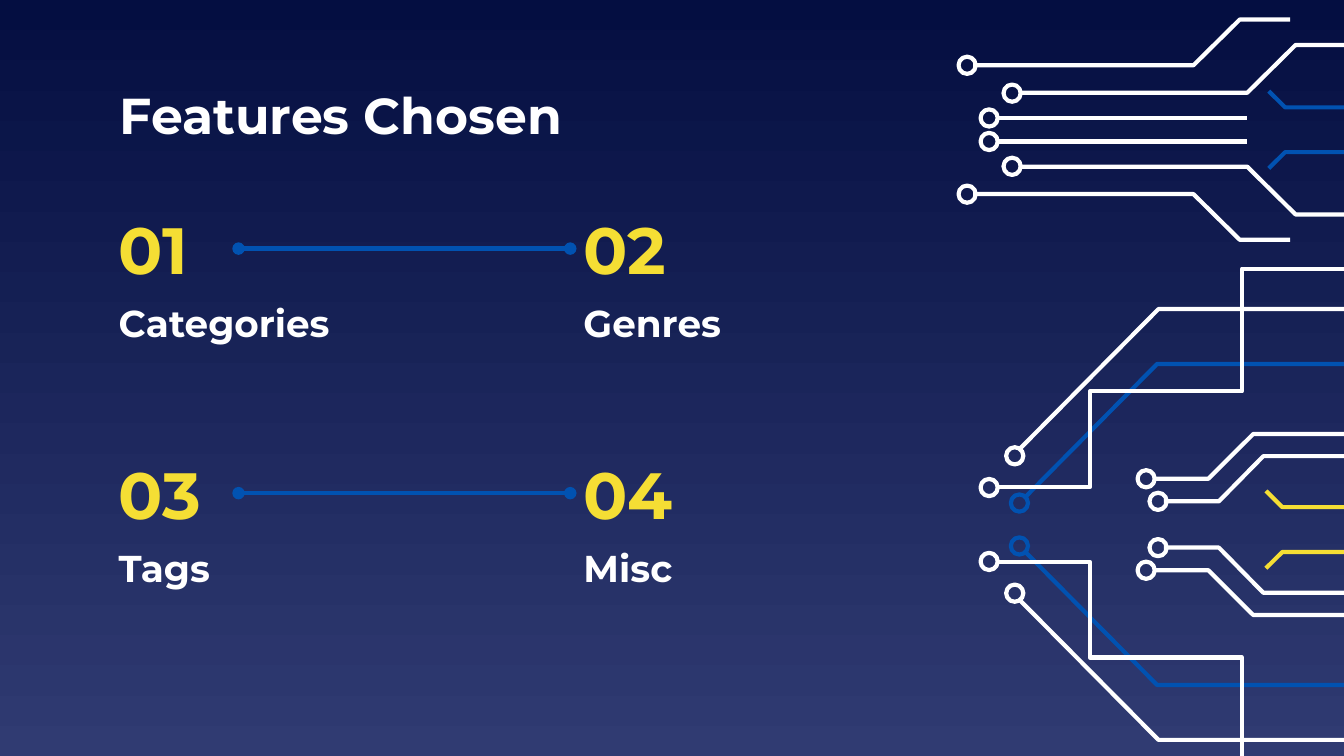
from lxml.etree import SubElement
from pptx import Presentation
from pptx.dml.color import RGBColor
from pptx.enum.shapes import MSO_CONNECTOR as CONNECTOR, MSO_SHAPE as SHAPE
from pptx.enum.text import MSO_ANCHOR as ANCHOR, MSO_AUTO_SIZE as AUTO_SIZE, PP_ALIGN as ALIGN
from pptx.oxml.ns import qn
from pptx.util import Pt

COLORS = {"top": "040E41", "bottom": "303B72", "white": "FFFFFF",
          "blue": "0152B1", "yellow": "F5DE34"}
FONT = "Montserrat"
STROKE = 2.25
PAD = 9.2
FEATURES = ["Categories", "Genres", "Tags", "Misc"]
COLUMNS = 2
NUMBER_SIZE = (71.3, 41.8)
LABEL_SIZE = (173.5, 37.4)

UPPER_TRACES = [
    ("white", (4.6, 34.5), [(7.8, 34.5), (125.9, 34.5), (150.7, 59), (177.7, 59)]),
    ("white", (28.7, 19.6), [(32.3, 19.8), (154.7, 19.8), (180.6, 45.4), (224.5, 45.4)]),
    ("white", (16.4, 6.3), [(20, 6.3), (154.7, 6.3)]),
]
LOWER_TRACES = [
    ("white", (94.8, 12.4), [(97.9, 12.4), (127.4, 12.4), (151.2, 36.6), (208.8, 36.6)]),
    ("white", (88.4, 24.5), [(92.2, 24.5), (121.7, 24.5), (145.8, 48.5), (208.8, 48.5)]),
    ("blue", (20.5, 11.5), [(23, 14), (94.3, 86), (208.8, 86)]),
    ("white", (4.3, 19.8), [(7.9, 20), (58.3, 20), (58.3, 71.3), (139.7, 71.3),
                            (139.7, 137), (208.8, 137)]),
    ("white", (18, 36.8), [(20.2, 40), (95, 115.4), (208.8, 115.4)]),
]
BRACKET = [(0, 20.7), (8.8, 12), (49.7, 12)]


def rgb(name):
    """Return the palette colour called name."""
    return RGBColor.from_string(COLORS[name])


def outline(shape, color):
    """Give a shape an unfilled coloured outline without shadow."""
    shape.shadow.inherit = False
    shape.fill.background()
    shape.line.color.rgb = rgb(color)
    shape.line.width = Pt(STROKE)


def write(shape, box, text, size, color):
    """Place a text shape in box and set one bold, left-aligned line in it."""
    shape.left, shape.top, shape.width, shape.height = map(Pt, box)
    frame = shape.text_frame
    frame.auto_size = AUTO_SIZE.NONE
    frame.word_wrap = True
    frame.vertical_anchor = ANCHOR.MIDDLE
    frame.margin_left = frame.margin_right = Pt(7.2)
    frame.margin_top = frame.margin_bottom = Pt(7.2)
    frame.text = text
    line = frame.paragraphs[0]
    line.alignment = ALIGN.LEFT
    line.font.name, line.font.size, line.font.bold = FONT, Pt(size), True
    line.font.color.rgb = rgb(color)


def add_circuit(slide, box, traces):
    """Draw traces and their round pads, mirrored about the middle of box."""
    left, top, _, height = box
    axis = top + height / 2
    for color, pad, route in traces:
        for side in (-1, 1):
            points = [(Pt(left + x), Pt(axis + side * y)) for x, y in route]
            builder = slide.shapes.build_freeform(*points[0])
            builder.add_line_segments(points[1:], close=False)
            outline(builder.convert_to_shape(), color)
            if pad:
                corner = (left + pad[0] - PAD / 2, axis + side * pad[1] - PAD / 2)
                ring = slide.shapes.add_shape(
                    SHAPE.OVAL, *map(Pt, (*corner, PAD, PAD)))
                outline(ring, color)


def add_link(slide, start, end, y):
    """Join two features with a line that has a dot at each end."""
    link = slide.shapes.add_connector(
        CONNECTOR.STRAIGHT, Pt(start), Pt(y), Pt(end), Pt(y))
    link.line.color.rgb = rgb("blue")
    link.line.width = Pt(STROKE)
    for end_tag in ("a:headEnd", "a:tailEnd"):
        SubElement(link.line._get_or_add_ln(), qn(end_tag), type="oval")
    SubElement(link._element.spPr, qn("a:effectLst"))


def add_features(slide, box):
    """Lay out the numbered features in a grid, linking each row."""
    left, top, width, height = box
    column_step = width - LABEL_SIZE[0]
    row_step = height - NUMBER_SIZE[1] - LABEL_SIZE[1]
    for index, feature in enumerate(FEATURES):
        row, column = divmod(index, COLUMNS)
        x, y = left + column * column_step, top + row * row_step
        label_y = y + NUMBER_SIZE[1]
        for text, text_y, extent, size, color in (
                (feature, label_y, LABEL_SIZE, 20, "white"),
                (f"{index + 1:02}", y, NUMBER_SIZE, 35, "yellow")):
            area = (x, text_y, *extent)
            write(slide.shapes.add_textbox(*map(Pt, area)), area, text, size, color)
        if column:
            add_link(slide, x - column_step + NUMBER_SIZE[0], x, y + NUMBER_SIZE[1] / 2)


def paint_background(slide):
    """Fill the slide with a gradient running from top to bottom."""
    fill = slide.background.fill
    fill.gradient()
    fill.gradient_angle = 270
    for stop, position, color in zip(fill.gradient_stops, (0, 1), ("top", "bottom")):
        stop.position = position
        stop.color.rgb = rgb(color)


def main():
    """Build the slide and save it."""
    deck = Presentation()
    deck.slide_width, deck.slide_height = Pt(720), Pt(405)
    slide = deck.slides.add_slide(deck.slide_layouts[5])
    paint_background(slide)
    write(slide.shapes.title, (56.9, 42.5, 422.6, 37.4), "Features Chosen", 27, "white")
    add_features(slide, (56.5, 112.3, 422.5, 210.2))
    add_circuit(slide, (678.2, 263, 49.7, 41.4), [("yellow", None, BRACKET)])
    add_circuit(slide, (679.7, 48.8, 49.7, 41.4), [("blue", None, BRACKET)])
    add_circuit(slide, (525.6, 144, 208.8, 274), LOWER_TRACES)
    add_circuit(slide, (513.5, 10.5, 224.5, 118), UPPER_TRACES)
    deck.save("out.pptx")


if __name__ == "__main__":
    main()
